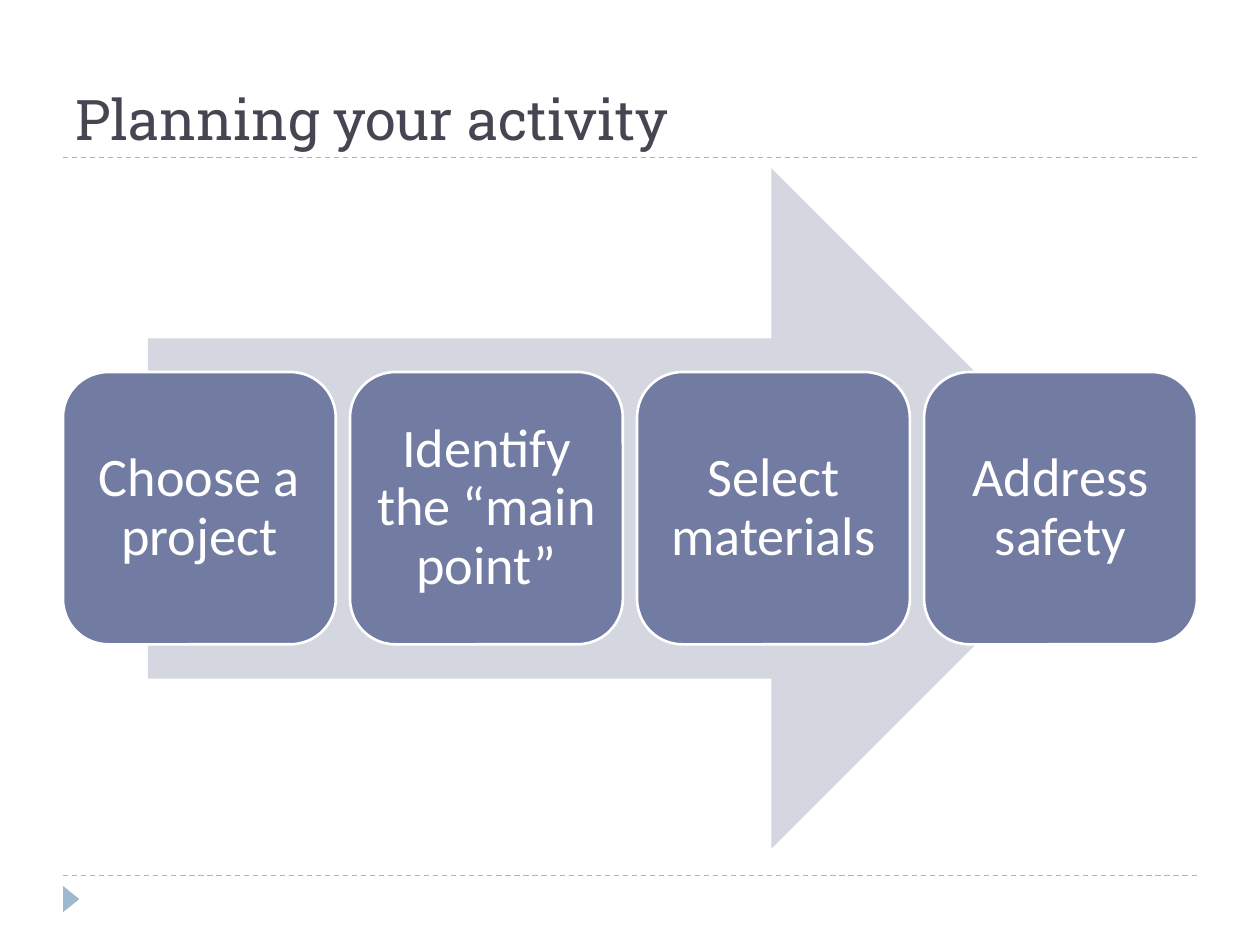
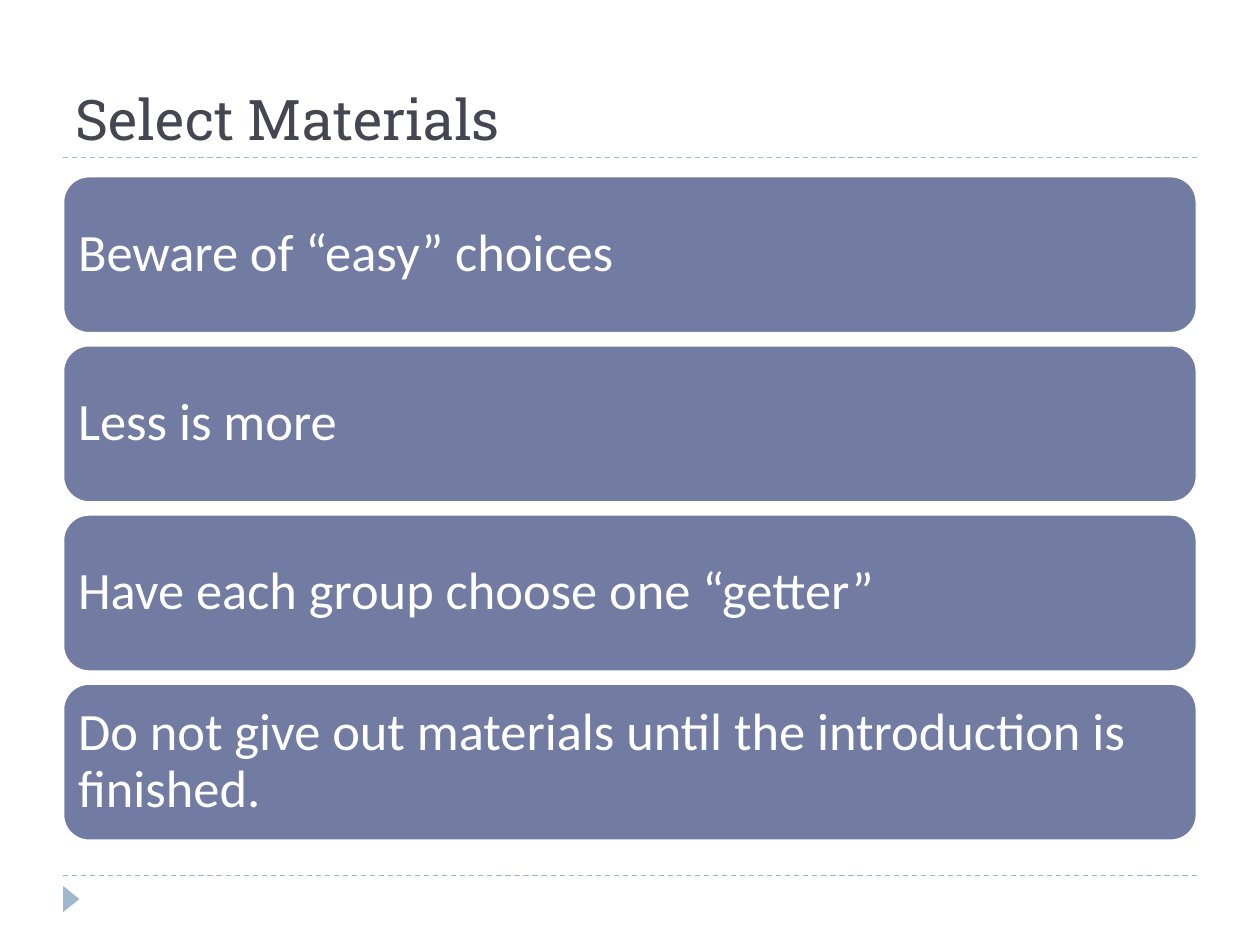
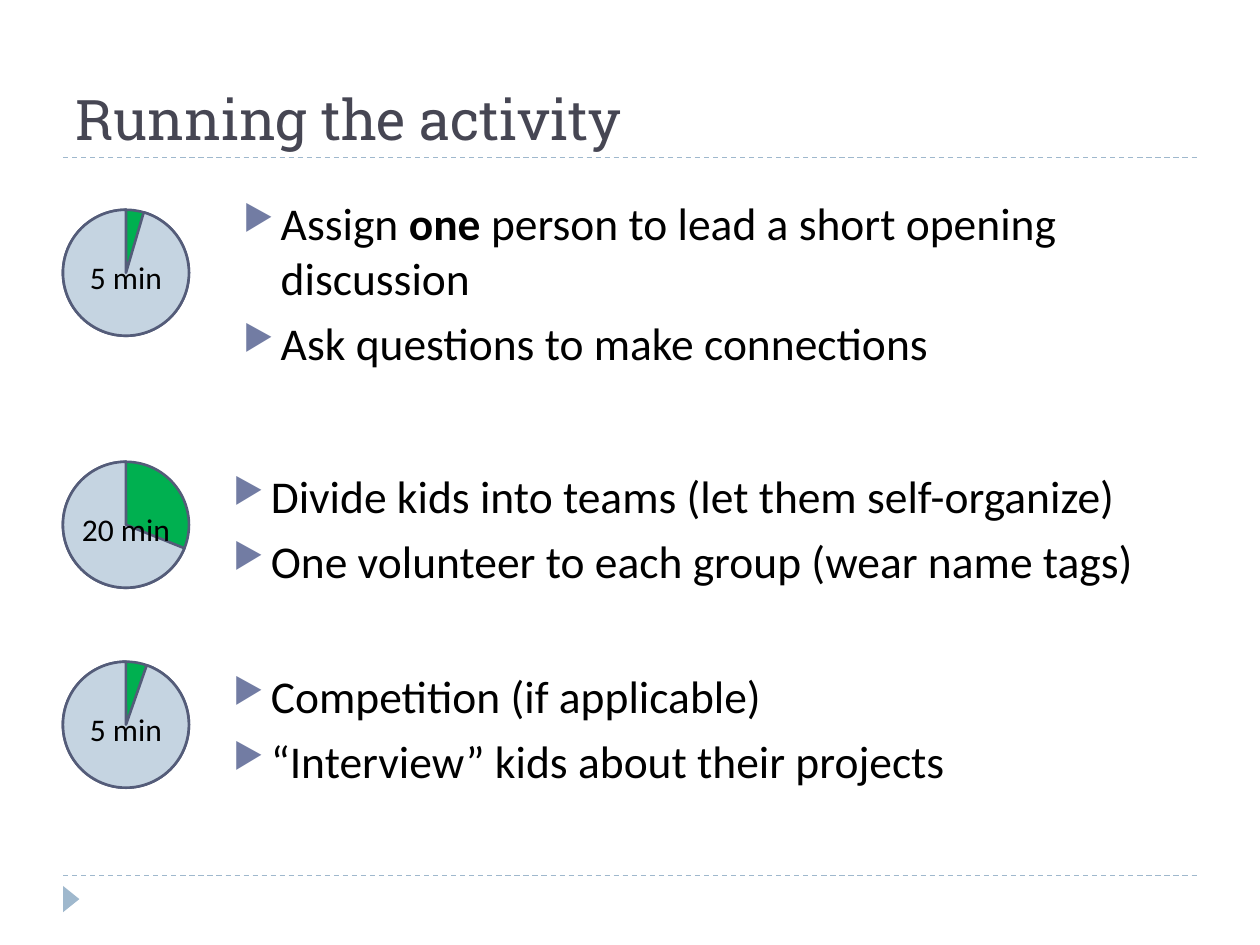
from dataclasses import dataclass

from lxml.etree import SubElement
from pptx import Presentation
from pptx.dml.color import RGBColor
from pptx.enum.dml import MSO_LINE
from pptx.enum.shapes import MSO_CONNECTOR, MSO_SHAPE as Preset
from pptx.enum.text import MSO_ANCHOR as Anchor, PP_ALIGN as Align
from pptx.oxml.ns import qn
from pptx.shapes.autoshape import Shape
from pptx.slide import Slide
from pptx.util import Cm, Pt

# Shared style
WHITE, BLACK = "FFFFFF", "000000"
TITLE_COLOR = "464653"
ACCENT = "727CA3"
ARROW_FILL = "D5D7E0"
RULE_COLOR = "9FB8CD"
CLOCK_REST, CLOCK_TIME, CLOCK_LINE = "C5D4E1", "00B050", "545C79"
TITLE_FONT, BODY_FONT = "Roboto Slab", "Calibri"

# Shared lengths, in centimetres
LEFT, WIDTH = 1.27, 22.86
TITLE_RULE, FOOTER_RULE = 3.18, 17.65
CLOCK_SIZE = 2.54


@dataclass(frozen=True)
class Box:
    left: float
    top: float
    width: float
    height: float

    def lengths(self) -> tuple[Cm, Cm, Cm, Cm]:
        return Cm(self.left), Cm(self.top), Cm(self.width), Cm(self.height)


@dataclass(frozen=True)
class Stage:
    """A clock with its duration, and the bullets beside it."""
    duration: str
    rest_start: float  # degrees, clockwise from three o'clock
    clock_top: float
    bullet_box: Box
    bullets: tuple[str, ...]  # bold words stand between asterisks


PLANNING_STEPS = ("Choose a project", "Identify the “main point”",
                  "Select materials", "Address safety")
MATERIAL_RULES = (
    "Beware of “easy” choices",
    "Less is more",
    "Have each group choose one “getter”",
    "Do not give out materials until the introduction is finished.",
)
STAGES = (
    Stage("5 min", 286.38, 4.23, Box(4.65, 3.81, 19.48, 4.24),
          ("Assign *one* person to lead a short opening discussion",
           "Ask questions to make connections")),
    Stage("20 min", 21.86, 9.31, Box(4.45, 9.31, 19.48, 2.74),
          ("Divide kids into teams (let them self-organize)",
           "One volunteer to each group (wear name tags)")),
    Stage("5 min", 289.31, 13.34, Box(4.45, 13.34, 19.48, 3.18),
          ("Competition (if applicable)",
           "“Interview” kids about their projects")),
)


def rgb(color: str) -> RGBColor:
    return RGBColor.from_string(color)


def add_preset(slide: Slide, preset: Preset, box: Box, fill: str,
               line: str | None = None) -> Shape:
    shape = slide.shapes.add_shape(preset, *box.lengths())
    shape.shadow.inherit = False
    shape.fill.solid()
    shape.fill.fore_color.rgb = rgb(fill)
    if line:
        shape.line.color.rgb = rgb(line)
        shape.line.width = Pt(1.5)
    else:
        shape.line.fill.background()
    return shape


def style_font(paragraph, size: int, color: str, name: str = BODY_FONT) -> None:
    paragraph.font.size = Pt(size)
    paragraph.font.name = name
    paragraph.font.color.rgb = rgb(color)


def add_text(slide: Slide, box: Box, text: str, size: int, color: str,
             font: str = BODY_FONT, anchor: Anchor = Anchor.TOP,
             align: Align = Align.LEFT) -> None:
    frame = slide.shapes.add_textbox(*box.lengths()).text_frame
    frame.word_wrap = True
    frame.vertical_anchor = anchor
    paragraph = frame.paragraphs[0]
    paragraph.text = text
    paragraph.alignment = align
    style_font(paragraph, size, color, font)


def add_card(slide: Slide, box: Box, text: str, size: int, margin: float,
             align: Align) -> None:
    shape = add_preset(slide, Preset.ROUNDED_RECTANGLE, box, ACCENT, WHITE)
    frame = shape.text_frame
    frame.word_wrap = True
    frame.vertical_anchor = Anchor.MIDDLE
    frame.margin_left = frame.margin_right = Cm(margin)
    frame.margin_top = frame.margin_bottom = Cm(margin)
    paragraph = frame.paragraphs[0]
    paragraph.text = text
    paragraph.alignment = align
    paragraph.line_spacing = 0.9
    style_font(paragraph, size, WHITE)


def add_rule(slide: Slide, top: float) -> None:
    rule = slide.shapes.add_connector(MSO_CONNECTOR.STRAIGHT, Cm(LEFT), Cm(top),
                                      Cm(LEFT + WIDTH), Cm(top))
    rule.line.color.rgb = rgb(RULE_COLOR)
    rule.line.width = Pt(0.75)
    rule.line.dash_style = MSO_LINE.DASH
    SubElement(rule._element.spPr, qn("a:effectLst"))


def add_base_slide(presentation: Presentation, title: str) -> Slide:
    slide = presentation.slides.add_slide(presentation.slide_layouts[6])
    add_rule(slide, FOOTER_RULE)
    add_rule(slide, TITLE_RULE)
    marker = add_preset(slide, Preset.ISOSCELES_TRIANGLE,
                        Box(1.17, 17.96, 0.53, 0.33), RULE_COLOR)
    marker.rotation = 90
    add_text(slide, Box(LEFT, 0.43, WIDTH, 2.75), title, 32, TITLE_COLOR,
             TITLE_FONT, Anchor.BOTTOM)
    return slide


def add_bullet_mark(paragraph) -> None:
    properties = paragraph._p.get_or_add_pPr()
    properties.set("marL", str(Cm(0.76)))
    properties.set("indent", str(-Cm(0.76)))
    color = SubElement(properties, qn("a:buClr"))
    SubElement(color, qn("a:srgbClr"), val=ACCENT)
    SubElement(properties, qn("a:buSzPct"), val="76000")
    SubElement(properties, qn("a:buChar"), char="▶")


def add_bullets(slide: Slide, box: Box, bullets: tuple[str, ...]) -> None:
    frame = slide.shapes.add_textbox(*box.lengths()).text_frame
    frame.word_wrap = True
    for index, bullet in enumerate(bullets):
        paragraph = frame.add_paragraph() if index else frame.paragraphs[0]
        add_bullet_mark(paragraph)
        paragraph.space_before = Pt(6)
        style_font(paragraph, 26, BLACK)
        for part, words in enumerate(bullet.split("*")):
            run = paragraph.add_run()
            run.text = words
            if part % 2:
                run.font.bold = True


def add_clock(slide: Slide, stage: Stage) -> None:
    face = Box(LEFT, stage.clock_top, CLOCK_SIZE, CLOCK_SIZE)
    add_preset(slide, Preset.OVAL, face, CLOCK_TIME, CLOCK_LINE)
    rest = add_preset(slide, Preset.PIE, face, CLOCK_REST, CLOCK_LINE)
    # One degree is 60000 angle units; adjustments count in 100000
    for index, degrees in enumerate((stage.rest_start, 270)):
        rest.adjustments[index] = degrees * 0.6
    add_text(slide, Box(LEFT, stage.clock_top + 0.85, CLOCK_SIZE, 1.02),
             stage.duration, 18, BLACK, align=Align.CENTER)


def build_planning(presentation: Presentation) -> None:
    slide = add_base_slide(presentation, "Planning your activity")
    add_preset(slide, Preset.RIGHT_ARROW, Box(2.98, 3.39, 19.43, 13.72), ARROW_FILL)
    card_width = 5.5
    pitch = (WIDTH - card_width) / (len(PLANNING_STEPS) - 1)
    for index, step in enumerate(PLANNING_STEPS):
        box = Box(LEFT + index * pitch, 7.5, card_width, 5.49)
        add_card(slide, box, step, 31, 0.06, Align.CENTER)


def build_materials(presentation: Presentation) -> None:
    slide = add_base_slide(presentation, "Select Materials")
    for index, rule in enumerate(MATERIAL_RULES):
        box = Box(LEFT, 3.55 + index * 3.41, WIDTH, 3.17)
        add_card(slide, box, rule, 30, 0.15, Align.LEFT)


def build_running(presentation: Presentation) -> None:
    slide = add_base_slide(presentation, "Running the activity")
    for stage in STAGES:
        add_bullets(slide, stage.bullet_box, stage.bullets)
    for stage in STAGES:
        add_clock(slide, stage)


def main() -> None:
    presentation = Presentation()
    presentation.slide_width, presentation.slide_height = Cm(25.4), Cm(19.05)
    build_planning(presentation)
    build_materials(presentation)
    build_running(presentation)
    presentation.save("out.pptx")


if __name__ == "__main__":
    main()
